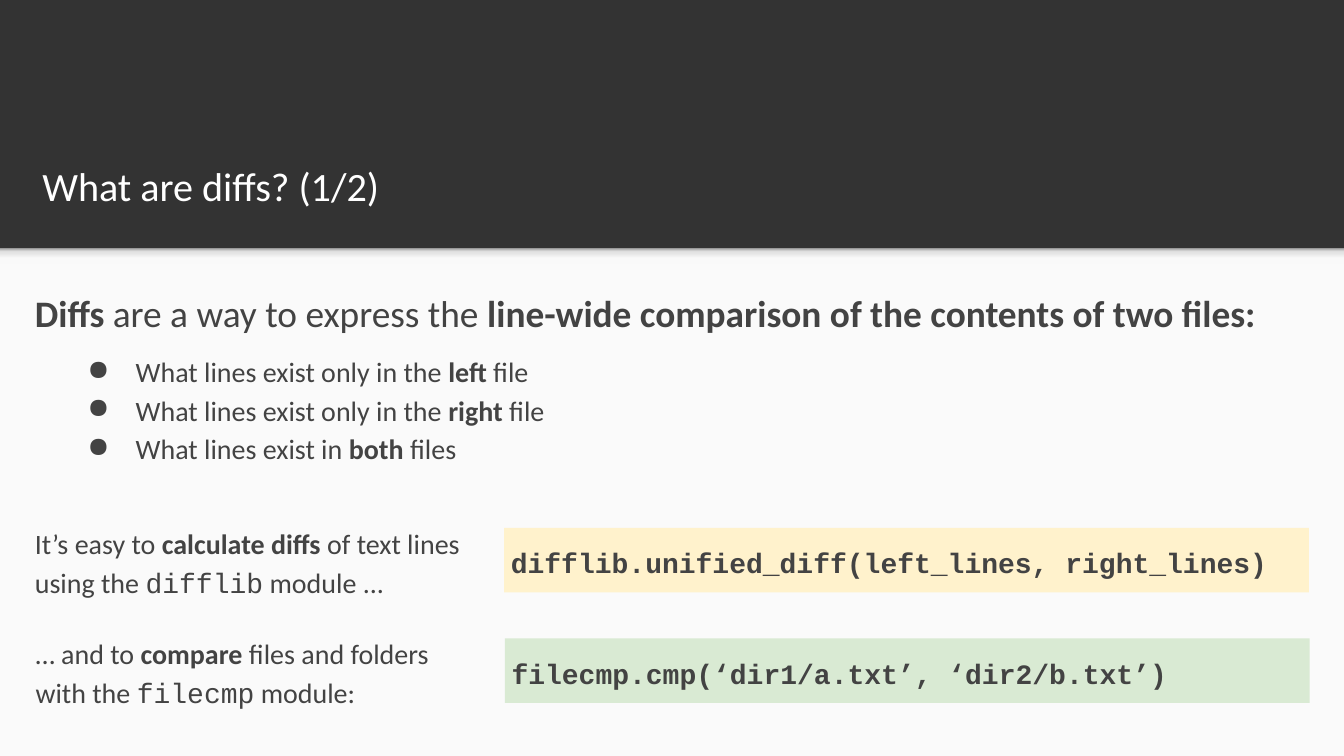
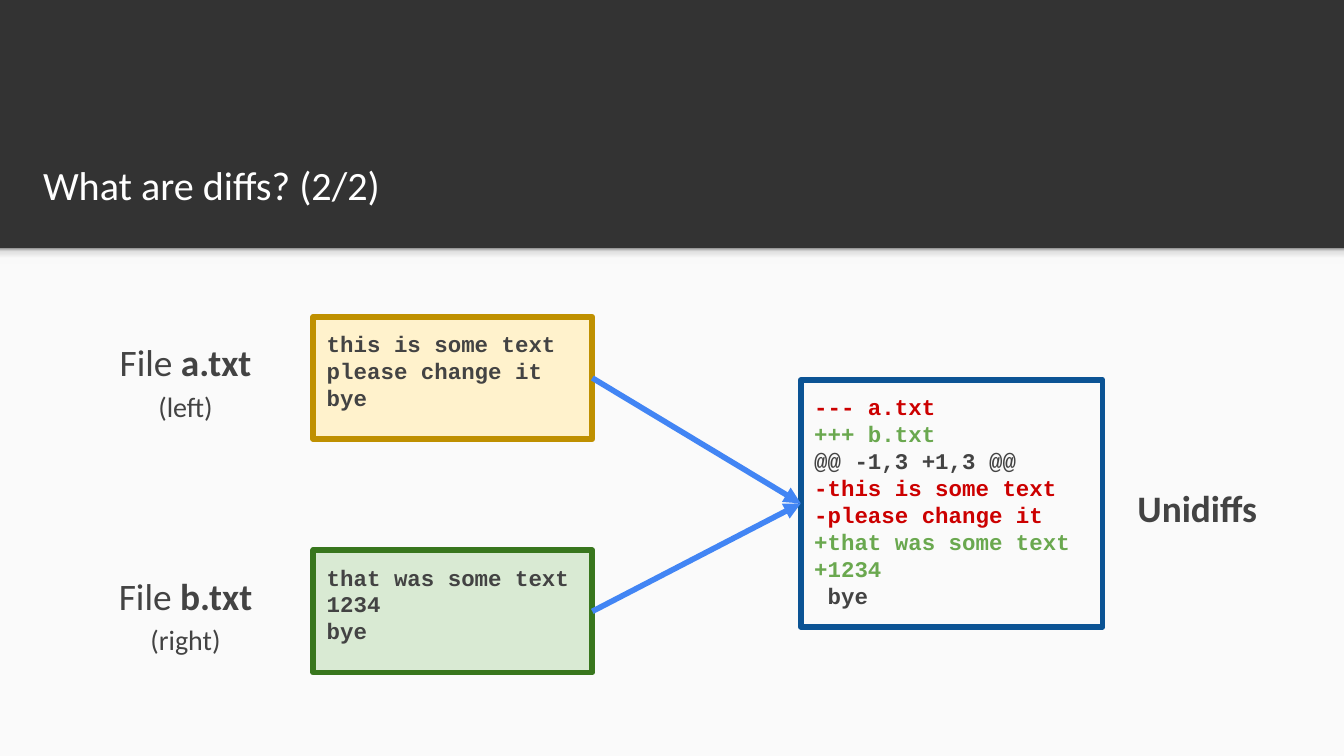
import copy
from dataclasses import dataclass

import lxml.etree
import pptx
import pptx.dml.color
import pptx.enum.shapes
import pptx.enum.text
import pptx.oxml.ns
import pptx.util

Inches = pptx.util.Inches
Points = pptx.util.Pt
Anchor = pptx.enum.text.MSO_ANCHOR
Align = pptx.enum.text.PP_ALIGN
RECTANGLE = pptx.enum.shapes.MSO_SHAPE.RECTANGLE


@dataclass(frozen=True)
class Theme:
    # Page
    width: float = 19.99
    height: float = 11.24
    band_height: float = 3.69
    # Colours
    dark: str = "333333"
    page: str = "FAFAFA"
    white: str = "FFFFFF"
    text: str = "434343"
    yellow: str = "FFF2CC"
    yellow_line: str = "BF9000"
    green: str = "D9EAD3"
    green_line: str = "38761D"
    blue_line: str = "0B5394"
    arrow: str = "4285F4"
    removed: str = "CC0000"
    added: str = "6AA84F"
    shadow_stops: tuple = ((0, "F9F9F9"), (0.36, "F9F9F9"), (0.8, "DEDEDE"), (1, "999999"))
    # Type
    font: str = "Calibri"
    code_font: str = "Courier New"
    title_size: int = 43
    lead_size: int = 40
    body_size: int = 30
    code_size: int = 24
    line_spacing: float = 1.15
    line_width: int = 6


THEME = Theme()
BOLD = {"bold": True}
CODE = {"name": THEME.code_font}
LEAD = {"size": Points(THEME.lead_size)}
STRONG_LEAD = {**LEAD, **BOLD}
SPACED = {"line_spacing": THEME.line_spacing}
CENTRED = {**SPACED, "alignment": Align.CENTER}


def rgb(colour):
    return pptx.dml.color.RGBColor.from_string(colour)


def apply(target, formats):
    for name, value in formats.items():
        setattr(target, name, value)


def qualified(tag):
    return pptx.oxml.ns.qn(tag)


# Text
def add_bullet(paragraph):
    properties = paragraph._p.get_or_add_pPr()
    properties.set("marL", str(Inches(1.5)))
    properties.set("indent", str(Inches(-0.72)))
    colour = lxml.etree.SubElement(properties, qualified("a:buClr"))
    lxml.etree.SubElement(colour, qualified("a:srgbClr"), val=THEME.text)
    lxml.etree.SubElement(properties, qualified("a:buChar"), char="●")


def fill_paragraph(paragraph, runs, layout=SPACED, bullet=False):
    """Each run is a text and its font formats; "colour" is a hex value."""
    apply(paragraph, layout)
    if bullet:
        add_bullet(paragraph)
    for text, formats in runs:
        run = paragraph.add_run()
        run.text = text
        formats = {"size": Points(THEME.body_size), "name": THEME.font,
                   "colour": THEME.text, **formats}
        run.font.color.rgb = rgb(formats.pop("colour"))
        apply(run.font, formats)


def fill_text(shape, paragraphs, anchor=Anchor.MIDDLE, inset=0.1):
    """Each paragraph is a dict of arguments for fill_paragraph."""
    frame = shape.text_frame
    margins = dict.fromkeys(
        ("margin_left", "margin_top", "margin_right", "margin_bottom"), Inches(inset))
    apply(frame, {"word_wrap": True, "vertical_anchor": anchor, **margins})
    for index, content in enumerate(paragraphs):
        paragraph = frame.add_paragraph() if index else frame.paragraphs[0]
        fill_paragraph(paragraph, **content)


def add_text(slide, place, paragraphs, **options):
    fill_text(slide.shapes.add_textbox(*map(Inches, place)), paragraphs, **options)


# Shapes
def add_rectangle(slide, place, fill=None, line=None):
    shape = slide.shapes.add_shape(RECTANGLE, *map(Inches, place))
    shape.shadow.inherit = False
    if fill:
        shape.fill.solid()
        shape.fill.fore_color.rgb = rgb(fill)
    else:
        shape.fill.background()
    if line:
        shape.line.color.rgb = rgb(line)
        shape.line.width = Points(THEME.line_width)
    else:
        shape.line.fill.background()
    return shape


def add_band_shadow(slide):
    shape = add_rectangle(slide, (0, THEME.band_height, THEME.width, 0.24))
    shape.fill.gradient()
    shape.fill.gradient_angle = 90
    stop_list = shape.element.spPr.find(".//" + qualified("a:gsLst"))
    while len(stop_list) < len(THEME.shadow_stops):
        stop_list.append(copy.deepcopy(stop_list[0]))
    for stop, (position, colour) in zip(shape.fill.gradient_stops, THEME.shadow_stops):
        stop.position = position
        stop.color.rgb = rgb(colour)


def add_code_bar(slide, place, code, fill):
    bar = add_rectangle(slide, place, fill)
    style = {**CODE, **BOLD}
    fill_text(bar, [{"runs": [(code, style)], "layout": {**SPACED, "alignment": Align.LEFT}}])


def add_file_box(slide, place, lines, fill, line):
    """Each line is a text and its colour."""
    box = add_rectangle(slide, place, fill, line)
    style = {**CODE, **BOLD, "size": Points(THEME.code_size)}
    paragraphs = [{"runs": [(text, {**style, "colour": colour})],
                   "layout": {"alignment": Align.LEFT}} for text, colour in lines]
    fill_text(box, paragraphs, anchor=Anchor.TOP, inset=0.2)
    return box


def add_arrow(slide, source, target):
    connector = slide.shapes.add_connector(
        pptx.enum.shapes.MSO_CONNECTOR.STRAIGHT, 0, 0, 0, 0)
    connector.begin_connect(source, 3)
    connector.end_connect(target, 1)
    connector.line.color.rgb = rgb(THEME.arrow)
    connector.line.width = Points(THEME.line_width)
    line = connector.line._get_or_add_ln()
    lxml.etree.SubElement(line, qualified("a:tailEnd"), type="triangle")
    lxml.etree.SubElement(connector.element.spPr, qualified("a:effectLst"))


# Slides
def add_titled_slide(presentation, title, left, top):
    slide = presentation.slides.add_slide(presentation.slide_layouts[6])
    page_height = THEME.height - THEME.band_height
    add_rectangle(slide, (0, THEME.band_height, THEME.width, page_height), THEME.page)
    add_band_shadow(slide)
    style = {"size": Points(THEME.title_size), "colour": THEME.white}
    add_text(slide, (left, top, 17.98, 1.68), [{"runs": [(title, style)], "layout": {}}],
             anchor=Anchor.BOTTOM, inset=0.2)
    return slide


def build_definition_slide(presentation):
    slide = add_titled_slide(presentation, "What are diffs? (1/2)", 0.43, 1.64)

    # Definition and its bullets
    paragraphs = [{"runs": [
        ("Diffs", STRONG_LEAD), (" are a way to express the ", LEAD),
        ("line-wide comparison of the contents of two files:", STRONG_LEAD)]}]
    bullets = (("What lines exist only in the ", "left", " file"),
               ("What lines exist only in the ", "right", " file"),
               ("What lines exist in ", "both", " files"))
    for index, (before, strong, after) in enumerate(bullets):
        space = Points(0 if index else 16)
        paragraphs.append({"runs": [(before, {}), (strong, BOLD), (after, {})],
                           "layout": {**SPACED, "space_before": space}, "bullet": True})
    add_text(slide, (0.42, 4.11, 19.05, 3.23), paragraphs, anchor=Anchor.TOP)

    # Modules, each beside a sample call
    modules = (
        ((0.42, 7.39, 6.59, 1.88),
         ("It’s easy to ", "calculate diffs", " of text lines using the ", "difflib",
          " module ..."),
         (7.5, 7.85, 11.97, 0.96), "difflib.unified_diff(left_lines, right_lines)",
         THEME.yellow),
        ((0.43, 9.49, 6.59, 0.96),
         ("… and to ", "compare", " files and folders with the ", "filecmp", " module:"),
         (7.51, 9.49, 11.97, 0.96), "filecmp.cmp(‘dir1/a.txt’, ‘dir2/b.txt’)",
         THEME.green))
    for text_place, pieces, bar_place, code, fill in modules:
        add_text(slide, text_place, [{"runs": zip(pieces, ({}, BOLD, {}, CODE, {}))}])
        add_code_bar(slide, bar_place, code, fill)


def build_example_slide(presentation):
    slide = add_titled_slide(presentation, "What are diffs? (2/2)", 0.44, 1.62)

    # Unified diff
    diff_lines = (("--- a.txt", THEME.removed), ("+++ b.txt", THEME.added),
                  ("@@ -1,3 +1,3 @@", THEME.text),
                  ("-this is some text", THEME.removed),
                  ("-please change it", THEME.removed),
                  ("+that was some text", THEME.added), ("+1234", THEME.added),
                  (" bye", THEME.text))
    diff_box = add_file_box(slide, (11.91, 5.65, 4.49, 3.67), diff_lines,
                            None, THEME.blue_line)
    add_text(slide, (16.82, 6.69, 2.34, 1.6), [{"runs": [("Unidiffs", STRONG_LEAD)]}])

    # Compared files, each with a label and an arrow
    files = (
        (4.71, "a.txt", "(left)", ("this is some text", "please change it", "bye"),
         THEME.yellow, THEME.yellow_line),
        (8.18, "b.txt", "(right)", ("that was some text", "1234", "bye"),
         THEME.green, THEME.green_line))
    for top, name, side, lines, fill, line in files:
        box = add_file_box(slide, (4.66, top, 4.15, 1.82),
                           [(text, THEME.text) for text in lines], fill, line)
        add_arrow(slide, box, diff_box)
        add_text(slide, (1.21, top + 0.11, 3.1, 1.6), [
            {"runs": [("File ", LEAD), (name, STRONG_LEAD)], "layout": CENTRED},
            {"runs": [(side, {})], "layout": CENTRED}])


def main():
    presentation = pptx.Presentation()
    presentation.slide_width = Inches(THEME.width)
    presentation.slide_height = Inches(THEME.height)
    background = presentation.slide_master.background.fill
    background.solid()
    background.fore_color.rgb = rgb(THEME.dark)
    build_definition_slide(presentation)
    build_example_slide(presentation)
    presentation.save("out.pptx")


if __name__ == "__main__":
    main()
